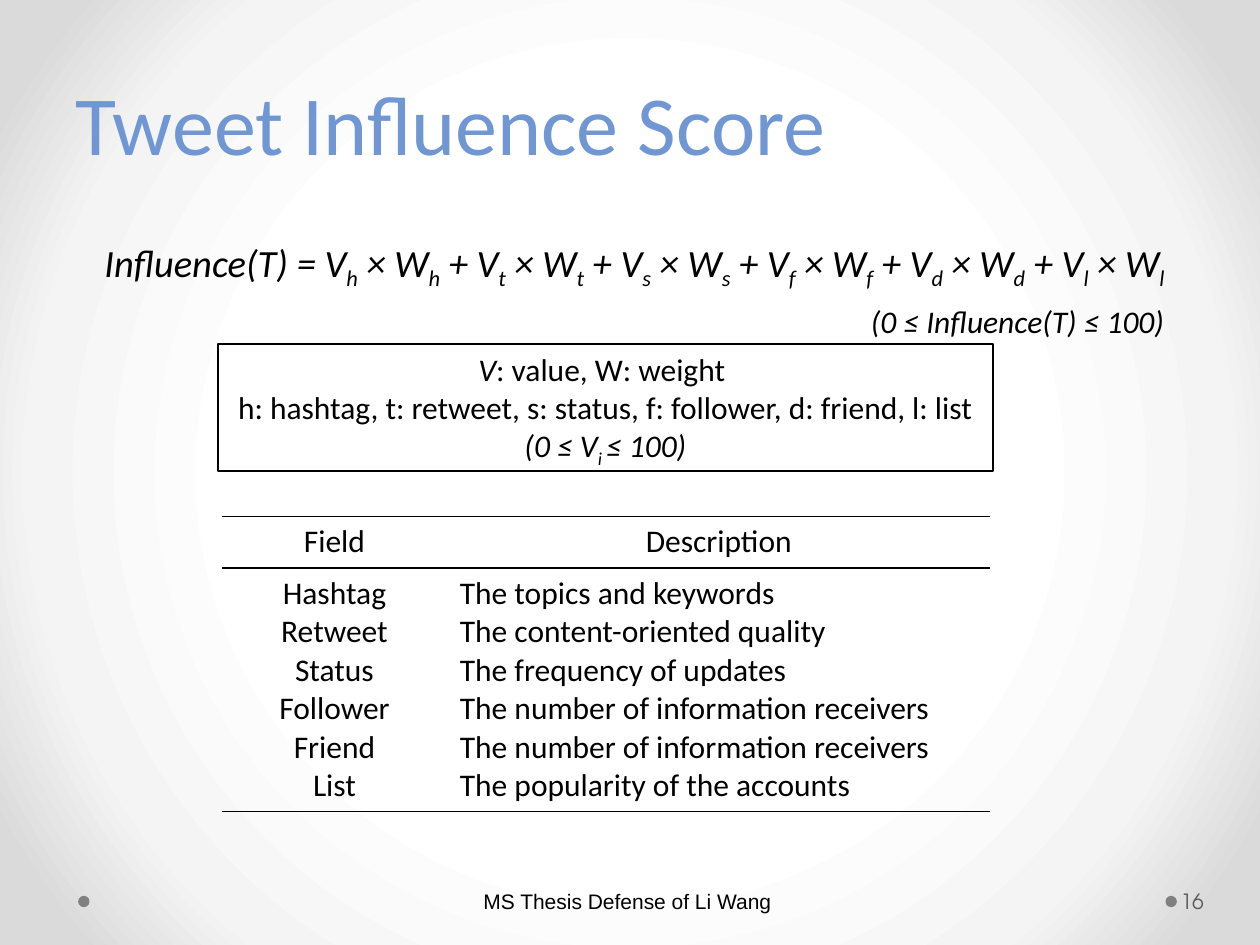
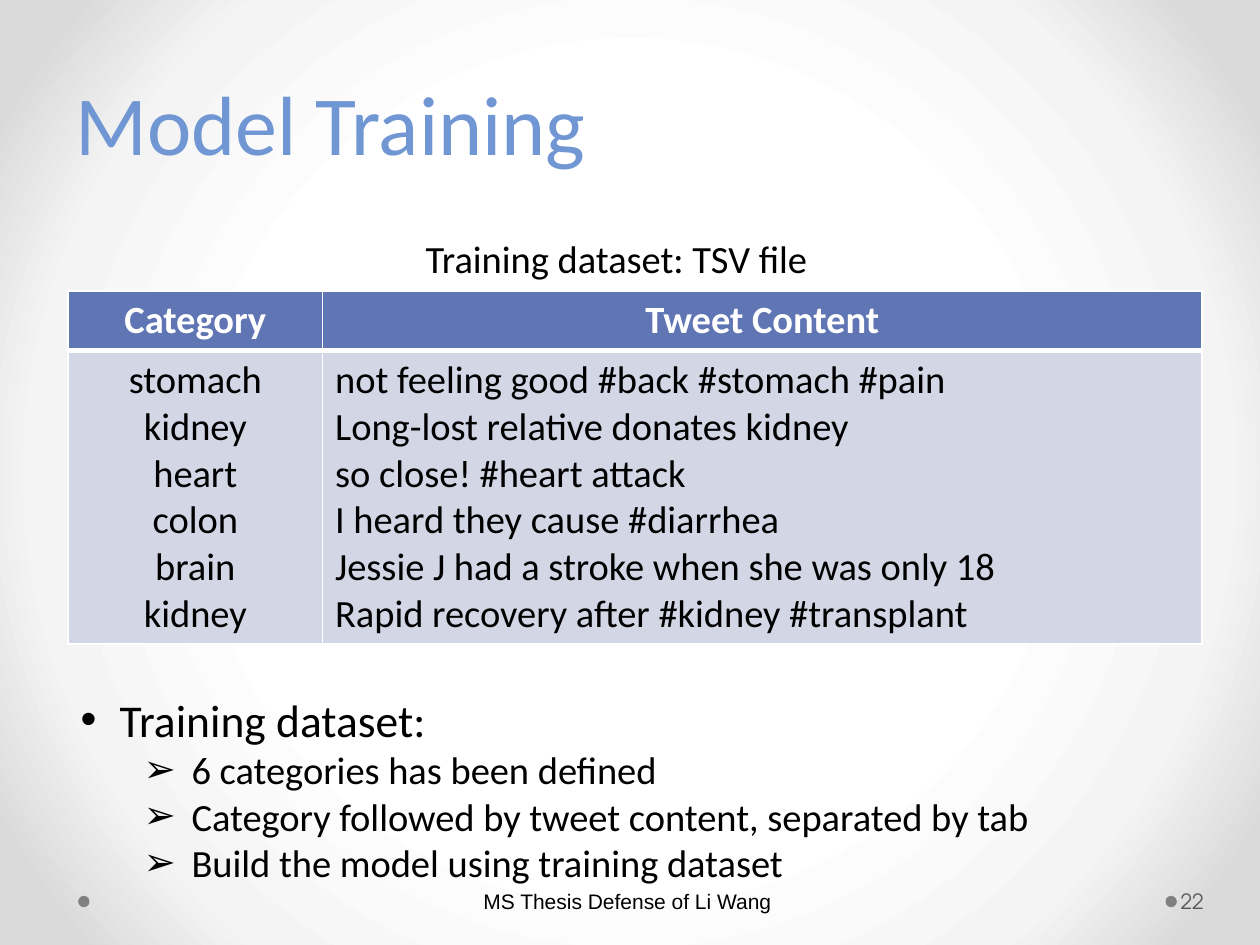
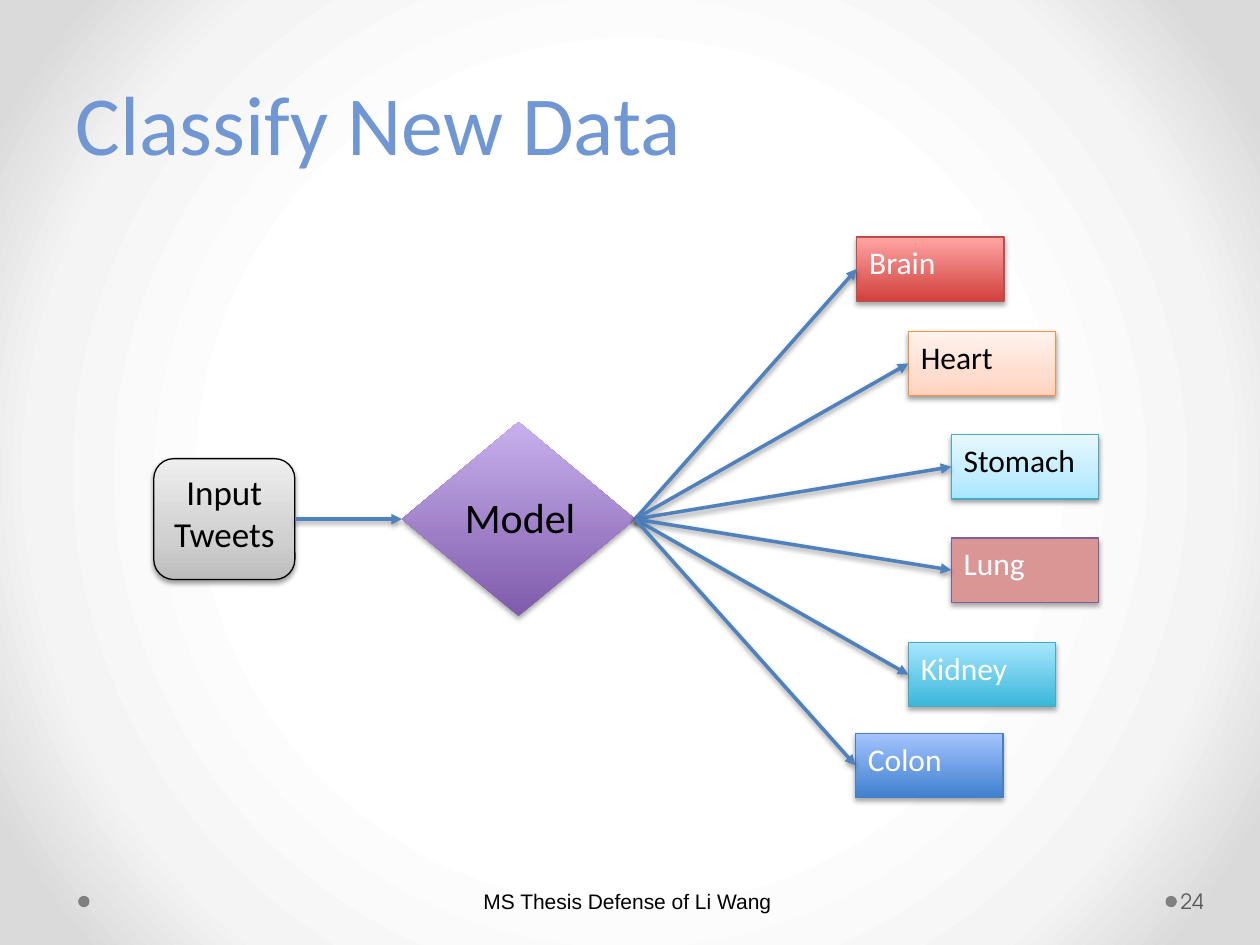
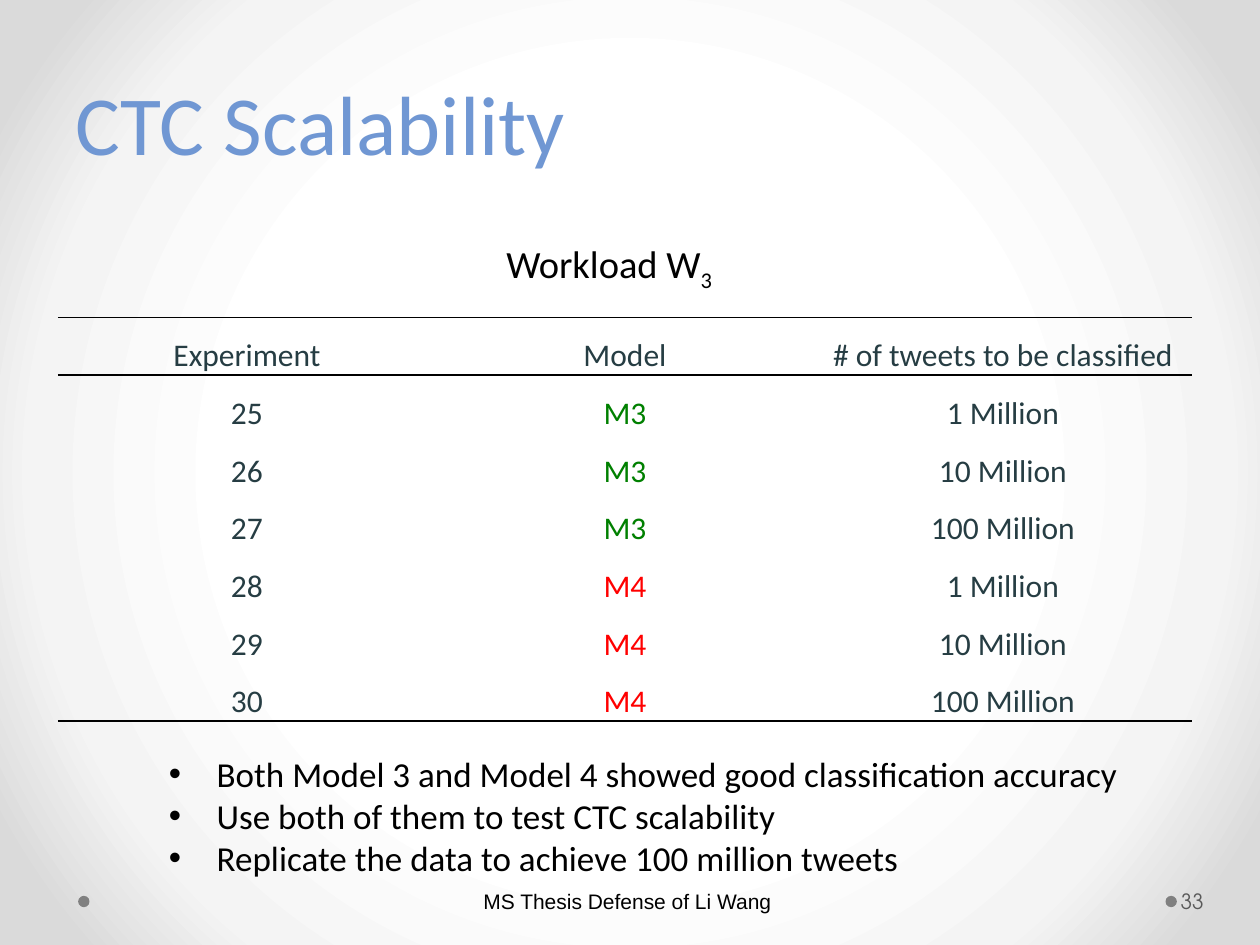
from lxml.etree import SubElement
from pptx import Presentation
from pptx.dml.color import RGBColor
from pptx.enum.shapes import MSO_CONNECTOR, MSO_SHAPE as SHAPE
from pptx.enum.text import MSO_ANCHOR as ANCHOR, MSO_AUTO_SIZE, PP_ALIGN as ALIGN
from pptx.oxml.ns import qn
from pptx.util import Inches, Pt

BLACK, WHITE = RGBColor(0, 0, 0), RGBColor(255, 255, 255)
TITLE_BLUE = RGBColor(0x70, 0x97, 0xD3)
DOT_GRAY = RGBColor(0x80, 0x80, 0x80)
NUMBER_GRAY = RGBColor(0x59, 0x59, 0x59)
HEADER_BLUE = RGBColor(0x60, 0x76, 0xB4)
ROW_BLUE = RGBColor(0xD2, 0xD6, 0xE5)
ARROW_BLUE = RGBColor(0x4F, 0x81, 0xBD)
SLATE = RGBColor(0x26, 0x3D, 0x43)
GREEN, RED = RGBColor(0, 0x80, 0), RGBColor(0xFF, 0, 0)
BACKDROP = [(50, "FFFFFF"), (76, "F4F4F4"), (92, "DADADA")]
NO_STYLE = "{2D5ABB26-0587-4C30-8999-92F81FD0307C}"

FOOTER = "MS Thesis Defense of Li Wang"
TITLE_ONLY, TITLE_AND_BODY = 5, 1
SUB = {"sub": True}

# Tweet Influence Score
FORMULA = []
for i, field in enumerate("htsfdl"):
    FORMULA += [(" + V" if i else "Influence(T) = V", {}), (field, SUB),
                (" × W", {}), (field + (" " if field == "l" else ""), SUB)]
FORMULA.append(("(0 ≤ Influence(T) ≤ 100)", {"size": 18}))
LEGEND = [
    [("V", {"italic": True}), (": value, W: weight ", {})],
    "h: hashtag, t: retweet, s: status, f: follower, d: friend, l: list",
    [("(0 ≤ V", {"italic": True}), ("i ", {"italic": True, "sub": True}),
     ("≤ 100)", {"italic": True})],
]
FIELDS = {
    "Field": ["Hashtag", "Retweet", "Status", "Follower", "Friend", "List"],
    "Description": [
        "The topics and keywords", "The content-oriented quality",
        "The frequency of updates", "The number of information receivers",
        "The number of information receivers", "The popularity of the accounts"],
}

# Model Training
TRAINING = {
    "Category": ["stomach", "kidney", "heart", "colon", "brain", "kidney"],
    "Tweet Content": [
        "not feeling good #back #stomach #pain",
        "Long-lost relative donates kidney", "so close! #heart attack",
        "I heard they cause #diarrhea",
        "Jessie J had a stroke when she was only 18",
        "Rapid recovery after #kidney #transplant"],
}
TRAINING_STEPS = ["6 categories has been defined",
                  "Category followed by tweet content, separated by tab",
                  "Build the model using training dataset"]

# Classify New Data: name, left, top, gradient from the bottom up, line, text
ORGANS = [
    ("Brain", 6.8, 1.88, [(0, "D1403C"), (100, "FFA6A5")], "BF4C48", WHITE),
    ("Heart", 7.21, 2.63, [(0, "FFD2BD"), (35, "FFDED0"), (100, "FFF2ED")],
     "F69240", BLACK),
    ("Stomach", 7.55, 3.45, [(0, "A7E6FF"), (35, "C1EDFF"), (100, "E7F8FF")],
     "46AAC5", BLACK),
    ("Lung", 7.55, 4.27, [(0, "D99694")], "7D60A0", WHITE),
    ("Kidney", 7.21, 5.1, [(0, "39B7D8"), (100, "A7E6FF")], "46AAC5", WHITE),
    ("Colon", 6.79, 5.82, [(0, "3F80CE"), (100, "A4C4FF")], "4B7EBC", WHITE),
]
INPUT_GRAYS = [(0, "BDBDBD"), (35, "D1D1D1"), (100, "EEEEEE")]
MODEL_PURPLES = [(0, "7F5BAB"), (100, "C8B0ED")]

# CTC Scalability
MODEL_COLORS = {"M3": GREEN, "M4": RED}
TWEET_COUNTS = ["1 Million", "10 Million", "100 Million"]
WORKLOAD = {
    "Experiment": [str(n) for n in range(25, 31)],
    "Model": [[(m, {"color": c})] for m, c in MODEL_COLORS.items()
              for _ in TWEET_COUNTS],
    "# of tweets to be classified": TWEET_COUNTS * 2,
}
FINDINGS = ["Both Model 3 and Model 4 showed good classification accuracy",
            "Use both of them to test CTC scalability",
            "Replicate the data to achieve 100 million tweets"]


def format_run(r, size=18, font="Calibri", color=BLACK, bold=False,
               italic=False, sub=False):
    f = r.font
    f.size, f.name, f.bold, f.italic = Pt(size), font, bold, italic
    f.color.rgb = color
    if sub:
        f._element.set("baseline", "-25000")


def add_bullet(p, char, left, hang):
    pPr = p._p.get_or_add_pPr()
    pPr.set("marL", str(Inches(left)))
    pPr.set("indent", str(-Inches(hang)))
    SubElement(pPr, qn("a:buFont")).set("typeface", "Arial")
    SubElement(pPr, qn("a:buChar")).set("char", char)


def put(tf, paragraphs, align=ALIGN.LEFT, spacing=None, bullet=None, level=0,
        more=False, **fmt):
    """Write paragraphs, each a string or a list of (text, run format)."""
    for i, runs in enumerate(paragraphs):
        p = tf.add_paragraph() if more or i else tf.paragraphs[0]
        p.level = level
        if bullet:
            add_bullet(p, *bullet)
        p.alignment, p.space_before = align, Pt(0)
        if spacing:
            p.line_spacing = spacing
        for text, own in [(runs, {})] if isinstance(runs, str) else runs:
            r = p.add_run()
            r.text = text
            format_run(r, **{**fmt, **own})


def place(s, left, top, width, height):
    s.left, s.top, s.width, s.height = map(Inches, (left, top, width, height))


def frame(s, anchor=ANCHOR.TOP, insets=(0.1, 0.05, 0.1, 0.05), wrap=True):
    tf = s.text_frame
    tf.auto_size, tf.word_wrap = MSO_AUTO_SIZE.NONE, wrap
    tf.vertical_anchor = anchor
    (tf.margin_left, tf.margin_top,
     tf.margin_right, tf.margin_bottom) = map(Inches, insets)
    return tf


def text_box(slide, at, paragraphs, anchor=ANCHOR.TOP,
             insets=(0.1, 0.05, 0.1, 0.05), wrap=True, **fmt):
    s = slide.shapes.add_textbox(*map(Inches, at))
    put(frame(s, anchor, insets, wrap), paragraphs, **fmt)


def set_stops(element, stops):
    gs_list = element.find(".//" + qn("a:gsLst"))
    for gs in list(gs_list):
        gs_list.remove(gs)
    for pos, color in stops:
        gs = SubElement(gs_list, qn("a:gs"), pos=str(pos * 1000))
        SubElement(gs, qn("a:srgbClr"), val=color)
    return gs_list.getparent()


def add_shape(slide, kind, at, stops, line=None, width=0.75):
    s = slide.shapes.add_shape(kind, *map(Inches, at))
    s.shadow.inherit = False
    if len(stops) > 1:
        s.fill.gradient()
        s.fill.gradient_angle = 90
        set_stops(s.element, stops)
    else:
        s.fill.solid()
        s.fill.fore_color.rgb = RGBColor.from_string(stops[0][1])
    if line:
        s.line.color.rgb = RGBColor.from_string(line)
        s.line.width = Pt(width)
    else:
        s.line.fill.background()
    return s


def add_shadow(s, light):
    alpha, dist = (38, 1.6) if light else (35, 1.8)
    spPr = s.element.spPr
    effects = spPr.find(qn("a:effectLst"))
    if effects is None:
        effects = SubElement(spPr, qn("a:effectLst"))
    shadow = SubElement(effects, qn("a:outerShdw"), blurRad=str(Pt(3.1)),
                        dist=str(Pt(dist)), dir="5400000", rotWithShape="0")
    color = SubElement(shadow, qn("a:srgbClr"), val="000000")
    SubElement(color, qn("a:alpha"), val=str(alpha * 1000))


def add_arrow(slide, start, end):
    """Join the right corner of start to the left side of end."""
    c = slide.shapes.add_connector(MSO_CONNECTOR.STRAIGHT, 0, 0, 0, 0)
    c.begin_connect(start, 3)
    c.end_connect(end, 1)
    c.line.color.rgb, c.line.width = ARROW_BLUE, Pt(2)
    SubElement(c.element.spPr.find(qn("a:ln")), qn("a:tailEnd"), type="triangle")
    add_shadow(c, light=True)


def set_borders(cell, color, edges):
    """Draw the cell's edges, given as letters (in L, R, T, B order) to points."""
    tcPr = cell._tc.get_or_add_tcPr()
    for edge, width in edges.items():
        ln = SubElement(tcPr, qn("a:ln" + edge), w=str(Pt(width)))
        fill = SubElement(ln, qn("a:solidFill"))
        SubElement(fill, qn("a:srgbClr"), val=str(color))


def add_table(slide, at, columns, widths, heights, aligns, header=None,
              fills=None, insets=None, **fmt):
    """Build a table with one header row and one row of stacked lines."""
    shape = slide.shapes.add_table(2, len(columns), *map(Inches, at),
                                   Inches(sum(widths)), Inches(sum(heights)))
    table = shape.table
    shape.element.find(".//" + qn("a:tableStyleId")).text = NO_STYLE
    for row, height in zip(table.rows, heights):
        row.height = Inches(height)
    for c, (name, lines) in enumerate(columns.items()):
        table.columns[c].width = Inches(widths[c])
        for r, content in enumerate(([name], lines)):
            cell = table.cell(r, c)
            if fills:
                top, bottom = (1, 3) if r == 0 else (3, 1)
                set_borders(cell, WHITE, {"L": 1, "R": 1, "T": top, "B": bottom})
                cell.fill.solid()
                cell.fill.fore_color.rgb = fills[r]
            else:
                set_borders(cell, BLACK, {"T": 1, "B": 1})
                cell.fill.background()
            if insets:
                (cell.margin_left, cell.margin_top,
                 cell.margin_right, cell.margin_bottom) = map(Inches, insets)
            own = (header or {}) if r == 0 else {}
            put(cell.text_frame, content,
                align=ALIGN.CENTER if r == 0 else aligns[c], **{**fmt, **own})


def set_backdrop(master):
    master.background.fill.gradient()
    grad = set_stops(master.element, BACKDROP)
    grad.remove(grad.find(qn("a:lin")))
    path = SubElement(grad, qn("a:path"))
    path.set("path", "circle")
    SubElement(path, qn("a:fillToRect"), l="50000", t="50000", r="50000",
               b="50000")


def add_dots(master, slide):
    """Draw the two footer dots, then hand them to the master."""
    for left in (9.25, 0.62):
        dot = add_shape(slide, SHAPE.OVAL, (left, 7.11, 0.09, 0.09),
                        [(0, str(DOT_GRAY))])
        master.shapes.element.append(dot.element)


def new_slide(prs, layout, title, number):
    slide = prs.slides.add_slide(prs.slide_layouts[layout])
    heading = slide.shapes.title
    place(heading, 0.5, 0.3, 9, 1.12)
    put(frame(heading, ANCHOR.BOTTOM), [title], spacing=Pt(58), size=48,
        color=TITLE_BLUE)
    text_box(slide, (3.45, 6.95, 3.11, 0.4), [FOOTER], ANCHOR.MIDDLE,
             (0.05, 0.05, 0.1, 0.05), align=ALIGN.CENTER, size=12, font="Arial")
    text_box(slide, (9.34, 6.95, 0.61, 0.4), [str(number)], ANCHOR.MIDDLE,
             (0.03, 0.05, 0.05, 0.05), size=12, font="TeX Gyre Adventor",
             color=NUMBER_GRAY)
    return slide


def body_frame(slide, *at):
    body = slide.placeholders[1]
    place(body, *at)
    return frame(body)


def influence_slide(prs):
    slide = new_slide(prs, TITLE_ONLY, "Tweet Influence Score", 16)
    add_table(slide, (1.76, 4.1), FIELDS, (1.79, 4.31), (0.41, 1.9),
              (ALIGN.CENTER, ALIGN.LEFT))
    text_box(slide, (0.5, 1.72, 8.84, 0.96), [FORMULA], align=ALIGN.RIGHT,
             spacing=1.3, size=22, italic=True)
    legend = add_shape(slide, SHAPE.RECTANGLE, (1.73, 2.73, 6.15, 1.01),
                       [(0, "FFFFFF")], "000000", 1)
    put(frame(legend), LEGEND, align=ALIGN.CENTER)
    return slide


def training_slide(prs):
    slide = new_slide(prs, TITLE_AND_BODY, "Model Training", 22)
    tf = body_frame(slide, 0.54, 5.44, 8.96, 1.65)
    put(tf, ["Training dataset:"], bullet=("•", 0.31, 0.31), size=26)
    put(tf, TRAINING_STEPS, bullet=("➢", 0.88, 0.38), level=1, more=True, size=22)
    add_table(slide, (0.54, 2.31), TRAINING, (2.02, 6.98), (0.46, 2.31),
              (ALIGN.CENTER, ALIGN.LEFT), {"color": WHITE, "bold": True},
              (HEADER_BLUE, ROW_BLUE), size=22)
    text_box(slide, (3.28, 1.82, 3.3, 0.47), ["Training dataset: TSV file"],
             size=22)


def classify_slide(prs):
    slide = new_slide(prs, TITLE_ONLY, "Classify New Data", 24)
    source = add_shape(slide, SHAPE.ROUNDED_RECTANGLE, (1.22, 3.64, 1.12, 0.96),
                       INPUT_GRAYS, "000000")
    put(frame(source), ["Input", "Tweets"], align=ALIGN.CENTER, size=20)
    add_shadow(source, light=True)
    model = add_shape(slide, SHAPE.DIAMOND, (3.19, 3.35, 1.85, 1.54),
                      MODEL_PURPLES)
    add_shadow(model, light=False)
    add_arrow(slide, source, model)
    for name, left, top, stops, line, color in ORGANS:
        organ = add_shape(slide, SHAPE.RECTANGLE, (left, top, 1.17, 0.51),
                          stops, line)
        put(frame(organ), [name], color=color)
        add_shadow(organ, light=color == BLACK)
        add_arrow(slide, model, organ)
    text_box(slide, (3.59, 3.85, 1.09, 0.5), ["Model"], wrap=False, size=24)


def scalability_slide(prs):
    slide = new_slide(prs, TITLE_AND_BODY, "CTC Scalability", 33)
    add_table(slide, (0.46, 2.52), WORKLOAD, (3, 3, 3), (0.45, 2.7),
              [ALIGN.CENTER] * 3, insets=(0.07, 0, 0.07, 0), spacing=1.5,
              color=SLATE)
    text_box(slide, (3.92, 1.86, 1.96, 0.47), [[("Workload W", {}), ("3", SUB)]],
             size=22)
    put(body_frame(slide, 1.24, 5.92, 7.8, 1.11), FINDINGS,
        bullet=("•", 0.38, 0.38), size=20)


def main():
    prs = Presentation()
    prs.slide_width, prs.slide_height = Inches(10), Inches(7.5)
    set_backdrop(prs.slide_master)
    add_dots(prs.slide_master, influence_slide(prs))
    training_slide(prs)
    classify_slide(prs)
    scalability_slide(prs)
    prs.save("out.pptx")


if __name__ == "__main__":
    main()
